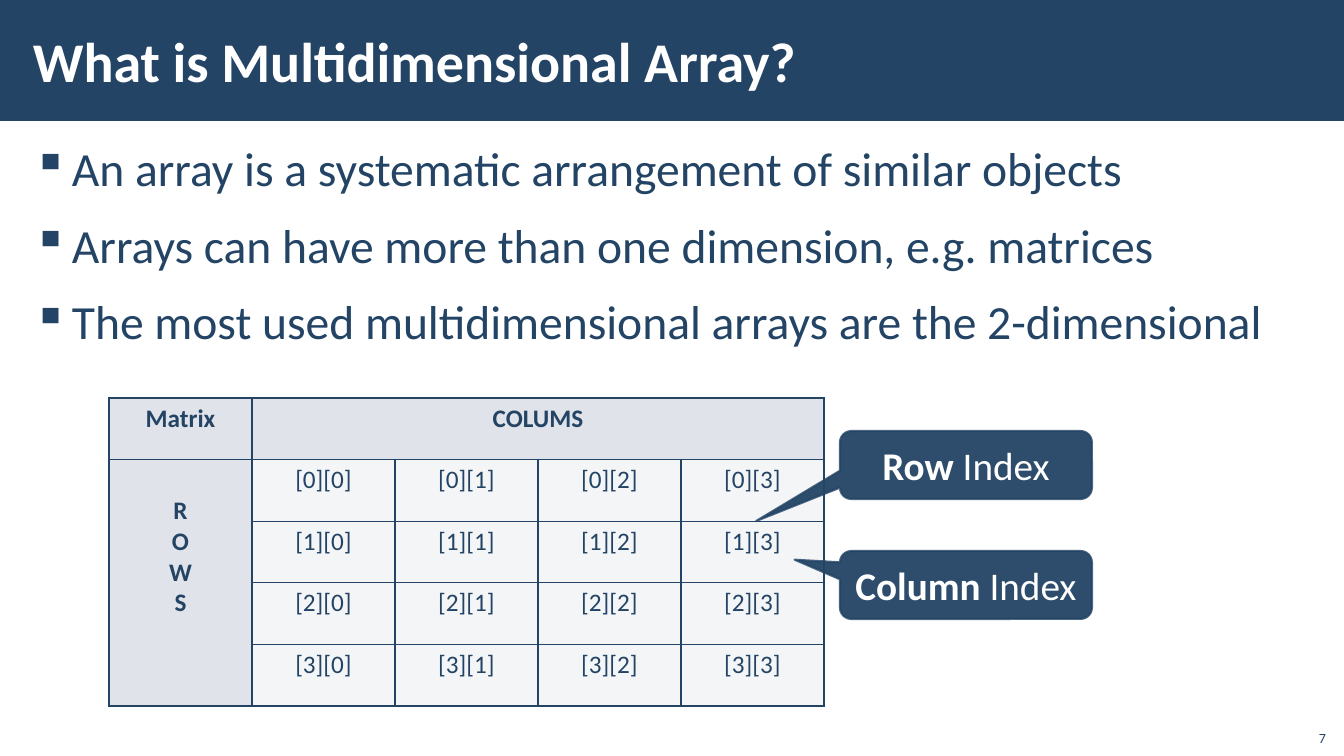
from lxml import etree
from pptx import Presentation, util as u
from pptx.dml.color import RGBColor
from pptx.enum import shapes, text
from pptx.oxml import parse_xml
from pptx.oxml.ns import nsdecls, qn

NAVY = RGBColor(0x23, 0x44, 0x65)
WHITE = RGBColor(0xFF, 0xFF, 0xFF)
HEADING_FILL = RGBColor(0xE0, 0xE3, 0xE9)
CELL_FILL = RGBColor(0xF4, 0xF5, 0xF7)
CENTER = text.PP_ALIGN.CENTER


def px(*lengths):
    return [u.Emu(round(length * 914400 / 100.8)) for length in lengths]


def style(paragraph, size, color, bold=False):
    for run in paragraph.runs:
        run.font.name = "Calibri"
        run.font.size = u.Pt(size)
        run.font.color.rgb = color
        run.font.bold = bold


presentation = Presentation()
presentation.slide_width, presentation.slide_height = px(1344, 756)
slide = presentation.slides.add_slide(presentation.slide_layouts[6])

header = slide.shapes.add_shape(shapes.MSO_SHAPE.RECTANGLE, *px(0, 0, 1344, 121))
header.shadow.inherit = False
header.fill.solid()
header.fill.fore_color.rgb = NAVY
header.line.fill.background()

bullets = """An array is a systematic arrangement of similar objects
Arrays can have more than one dimension, e.g. matrices
The most used multidimensional arrays are the 2-dimensional"""
text_boxes = [
    (bullets, (21, 132, 1302, 610), 34, NAVY, False, text.MSO_ANCHOR.TOP),
    ("What is Multidimensional Array?", (21, 11, 1071, 98), 40, WHITE, True, text.MSO_ANCHOR.MIDDLE),
    ("7", (1295, 718, 41, 32), 10, NAVY, False, text.MSO_ANCHOR.BOTTOM),
]
frames = []
for wording, box, size, color, bold, anchor in text_boxes:
    frame = slide.shapes.add_textbox(*px(*box)).text_frame
    frame.word_wrap = True
    frame.vertical_anchor = anchor
    frame.margin_left, frame.margin_right, frame.margin_top, frame.margin_bottom = px(12, 12, 4, 4)
    frame.text = wording
    for paragraph in frame.paragraphs:
        style(paragraph, size, color, bold)
    frames.append(frame)

body, title, number = frames
number.margin_left, number.margin_right = px(10, 10)
number.paragraphs[0].alignment = text.PP_ALIGN.RIGHT
indent, = px(39)
for paragraph in body.paragraphs:
    paragraph.line_spacing = 1.05
    paragraph.space_before = paragraph.space_after = u.Pt(6)
    properties = paragraph._p.get_or_add_pPr()
    properties.set("marL", str(indent))
    properties.set("indent", str(-indent))
    etree.SubElement(properties, qn("a:buChar")).set("char", "▪")

matrix = slide.shapes.add_table(5, 5, *px(109, 398, 715, 308)).table
matrix.cell(0, 1).merge(matrix.cell(0, 4))
matrix.cell(1, 0).merge(matrix.cell(4, 0))
headings = {(0, 0): "Matrix", (0, 1): "COLUMS", (1, 0): "R\nO\nW\nS"}
for row in range(5):
    for column in range(5):
        cell = matrix.cell(row, column)
        is_heading = row == 0 or column == 0
        cell.fill.solid()
        cell.fill.fore_color.rgb = HEADING_FILL if is_heading else CELL_FILL
        if not cell.is_spanned:
            cell.text = headings.get((row, column), f"[{row - 1}][{column - 1}]")
            for paragraph in cell.text_frame.paragraphs:
                paragraph.alignment = CENTER
                style(paragraph, 18, NAVY, is_heading)
        properties = cell._tc.get_or_add_tcPr()
        for position, side in enumerate(("lnL", "lnR", "lnT", "lnB")):
            border = parse_xml(
                f'<a:{side} {nsdecls("a")} w="12700"><a:solidFill>'
                f'<a:srgbClr val="{NAVY}"/></a:solidFill></a:{side}>')
            properties.insert(position, border)
matrix.cell(1, 0).margin_top, = px(36)

callouts = [("Row ", 431, (-0.833, 0.825, 0.167)), ("Column ", 551, (-0.68, -0.372, 0.167))]
for name, top, adjustments in callouts:
    callout = slide.shapes.add_shape(
        shapes.MSO_SHAPE.ROUNDED_RECTANGULAR_CALLOUT, *px(840, top, 252, 68))
    callout.shadow.inherit = False
    for position, value in enumerate(adjustments):
        callout.adjustments[position] = value
    callout.fill.solid()
    callout.fill.fore_color.rgb = NAVY
    callout.line.color.rgb = NAVY
    callout.line.width = u.Pt(1.5)
    for color, alpha in zip(callout._element.spPr.iter(qn("a:srgbClr")), (95000, 80000)):
        etree.SubElement(color, qn("a:alpha")).set("val", str(alpha))
    frame = callout.text_frame
    frame.word_wrap = True
    frame.vertical_anchor = text.MSO_ANCHOR.MIDDLE
    frame.margin_left, frame.margin_right = px(5, 5)
    paragraph = frame.paragraphs[0]
    paragraph.text = name
    paragraph.add_run().text = "Index"
    paragraph.alignment = CENTER
    style(paragraph, 28, WHITE)
    paragraph.runs[0].font.bold = True

presentation.save("out.pptx")
